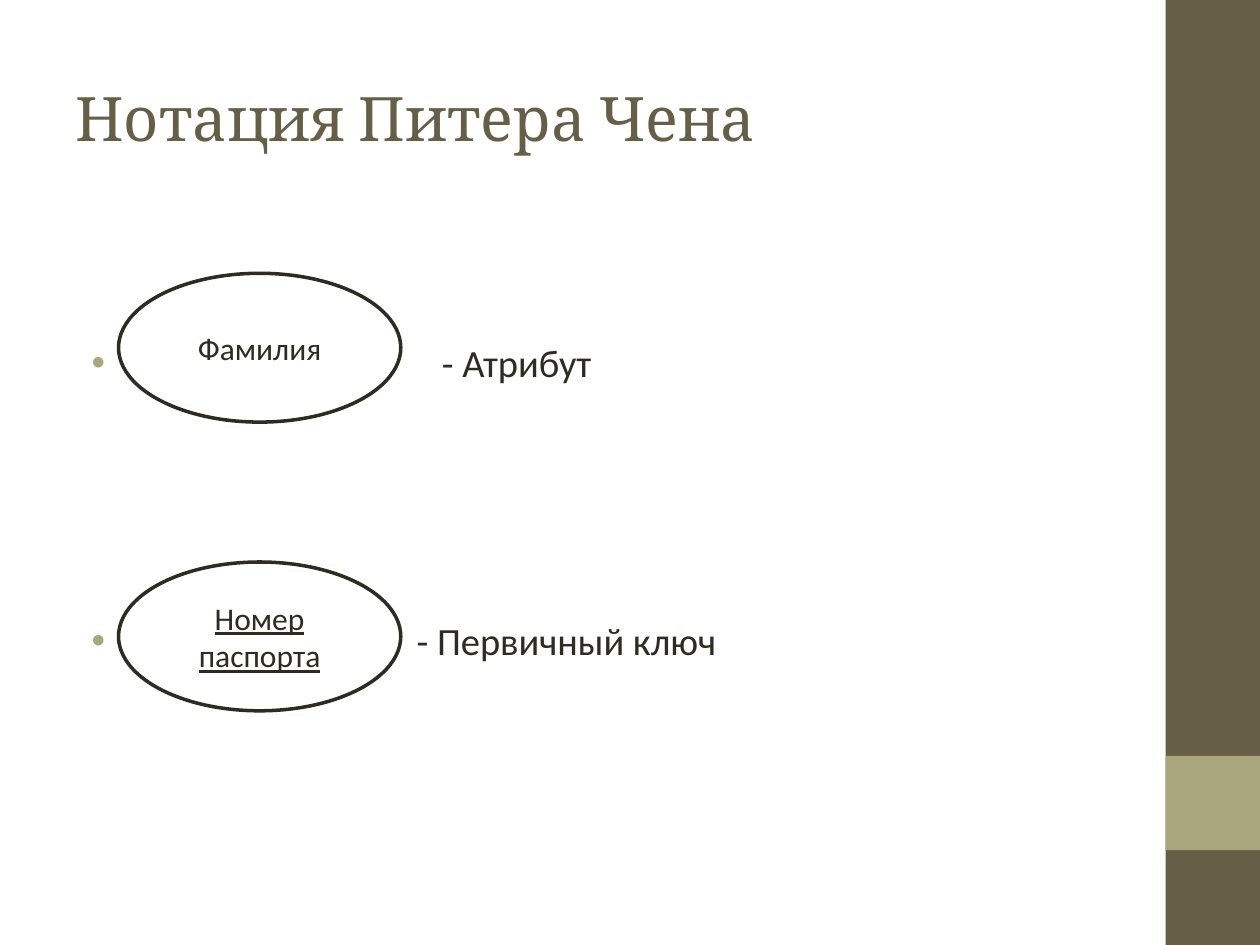
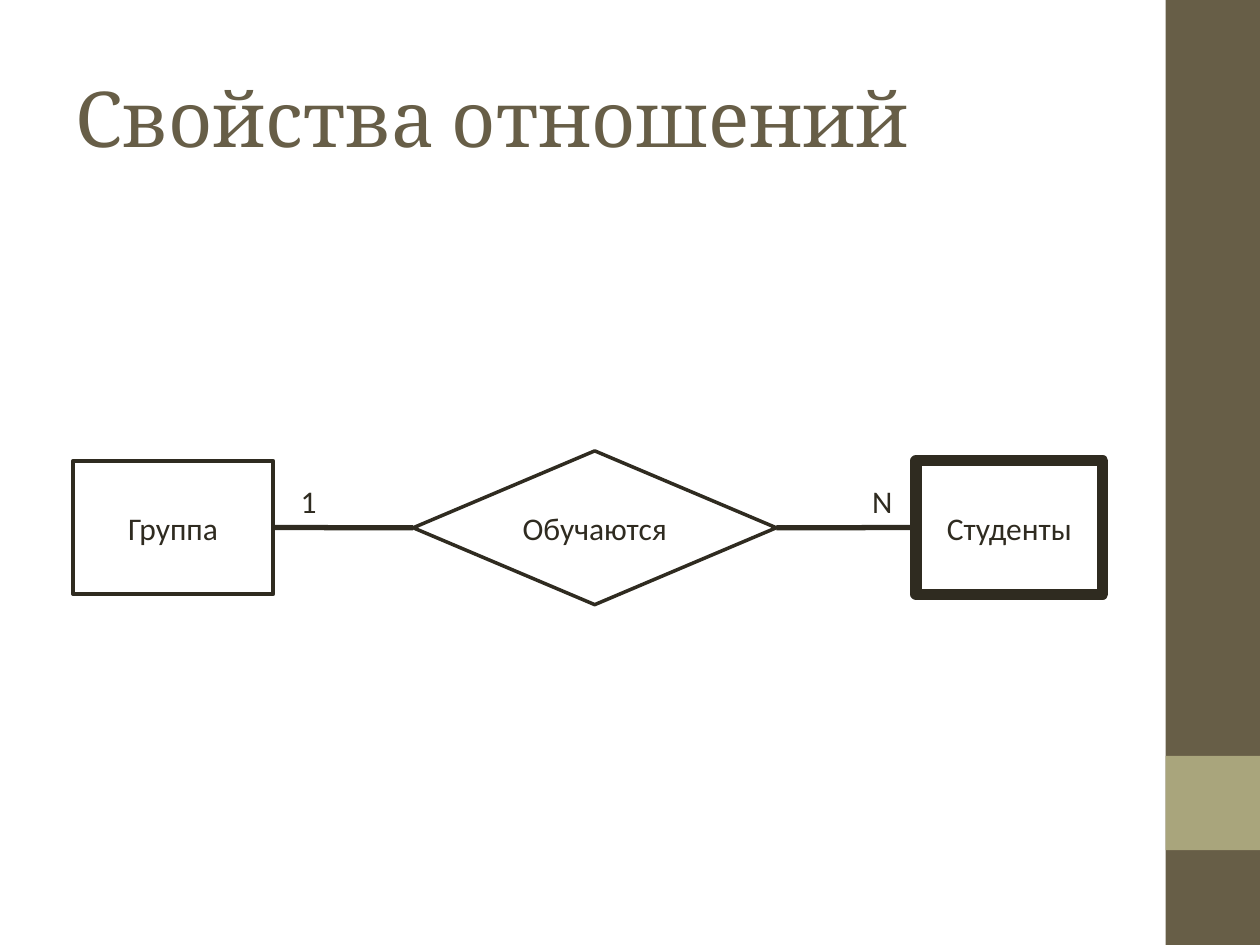
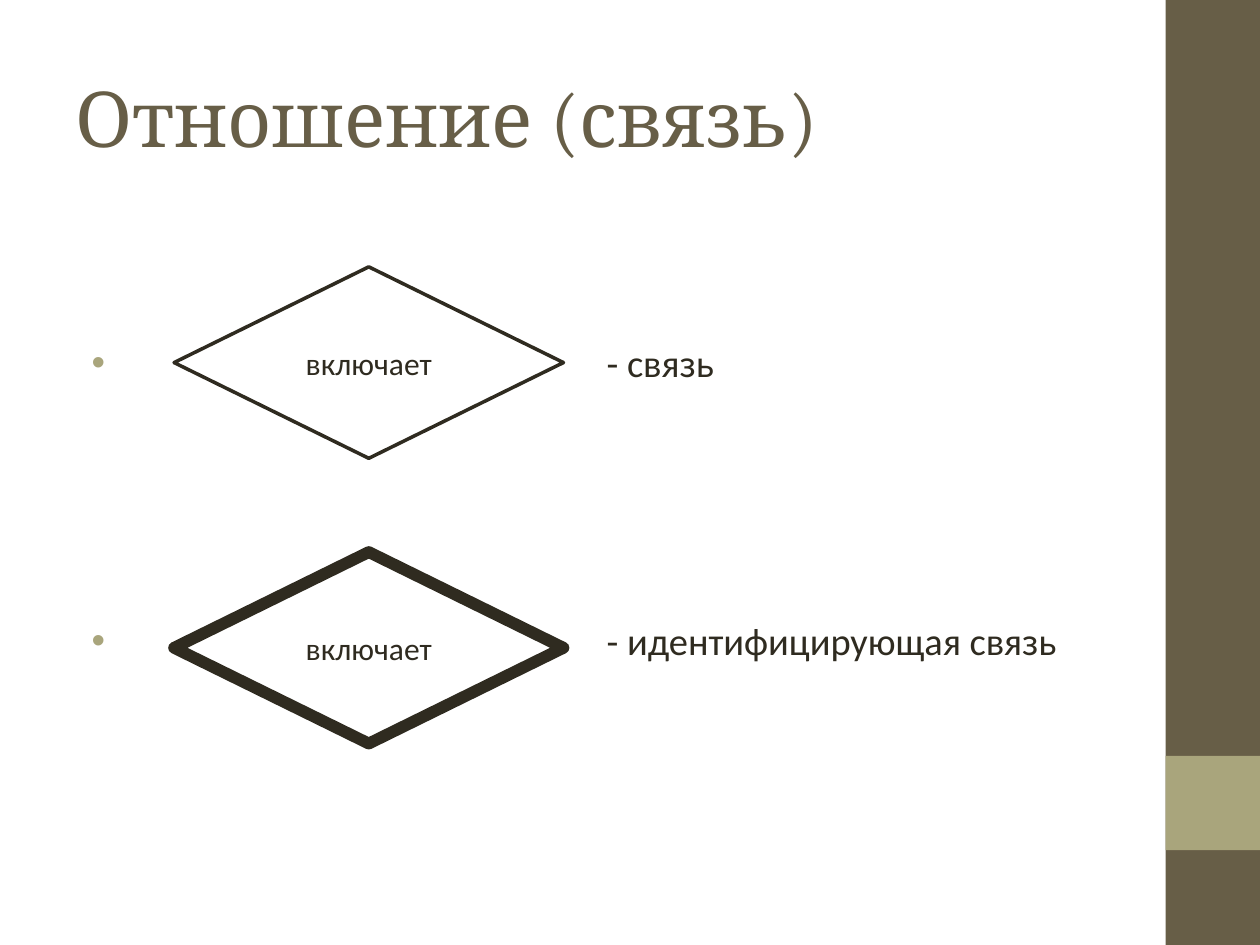
from lxml import etree
from pptx import Presentation
from pptx import util as u
from pptx.dml import color
from pptx.enum import shapes, text
from pptx.oxml import ns

DARK, ACCENT, INK, PAPER = "675E47", "A9A57C", "2F2B20", "FFFFFF"
HEADING_FONT, BODY_FONT = "Cambria", "Calibri"
PAGE = (0, 0, 25.4, 19.05)
TITLE_BOX = (1.27, 0.76, 21.16, 3.18)
BODY_BOX = (1.27, 4.45, 21.16, 13.33)
DIAGRAM_BOX = (1.47, 9.09, 20.76, 3.1)
BULLET_LEFT = 0.33
INSET = 0.25
KINDS = shapes.MSO_SHAPE


def rgb(value):
    """Turn a hex string into a colour."""
    return color.RGBColor.from_string(value)


def set_all(target, values):
    """Set each named attribute of the target."""
    for name, value in values.items():
        setattr(target, name, value)


def lengths(box):
    """Turn a box in centimetres into lengths."""
    return [u.Cm(round(value, 2)) for value in box]


def write(paragraph, words, size, ink=INK, font=BODY_FONT, underline=None):
    """Put one formatted run into a paragraph."""
    run = paragraph.add_run()
    run.text = words
    set_all(run.font, {"size": u.Pt(size), "name": font, "underline": underline})
    run.font.color.rgb = rgb(ink)


def add_textbox(slide, box, **frame_values):
    """Add a text box and return its frame."""
    frame = slide.shapes.add_textbox(*lengths(box)).text_frame
    set_all(frame, {"word_wrap": True, **frame_values})
    return frame


def add_block(slide, kind, box, fill, line_width=None):
    """Add a filled preset shape, outlined if a line width is given."""
    shape = slide.shapes.add_shape(kind, *lengths(box))
    shape.shadow.inherit = False
    shape.fill.solid()
    shape.fill.fore_color.rgb = rgb(fill)
    if line_width:
        shape.line.color.rgb = rgb(INK)
        shape.line.width = u.Pt(line_width)
    else:
        shape.line.fill.background()
    return shape


def add_symbol(slide, kind, box, words, line_width=2, underline=None):
    """Add an outlined notation symbol with a centred caption."""
    shape = add_block(slide, kind, box, PAPER, line_width)
    set_all(shape.text_frame, {"word_wrap": True, "vertical_anchor": text.MSO_ANCHOR.MIDDLE})
    paragraph = shape.text_frame.paragraphs[0]
    paragraph.alignment = text.PP_ALIGN.CENTER
    write(paragraph, words, 18, underline=underline)
    return shape


def add_link(slide, start, end):
    """Join the right side of one symbol to the left side of the next."""
    connector = slide.shapes.add_connector(shapes.MSO_CONNECTOR.STRAIGHT, 0, 0, 0, 0)
    connector.begin_connect(start, 3)
    connector.end_connect(end, 1)
    connector.line.color.rgb = rgb(INK)
    connector.line.width = u.Pt(3)
    etree.SubElement(connector._element.spPr, ns.qn("a:effectLst"))


def add_bullet(paragraph, text_left):
    """Give a paragraph an accent bullet and a hanging indent."""
    properties = paragraph._p.get_or_add_pPr()
    properties.set("marL", str(u.Cm(text_left)))
    properties.set("indent", str(u.Cm(round(BULLET_LEFT - text_left, 2))))
    bullet_color = etree.SubElement(properties, ns.qn("a:buClr"))
    etree.SubElement(bullet_color, ns.qn("a:srgbClr"), val=ACCENT)
    etree.SubElement(properties, ns.qn("a:buFont"), typeface="Arial")
    etree.SubElement(properties, ns.qn("a:buChar"), char="•")


def add_side_band(slide, box):
    """Draw the band along the right edge of the page."""
    left, top, width, height = box
    band = 1.9
    band_left = left + width - band
    add_block(slide, KINDS.RECTANGLE, (band_left, top, band, height), DARK)
    add_block(slide, KINDS.RECTANGLE, (band_left, top + 0.8 * height, band, band), ACCENT)


def add_title(slide, box, words, size):
    """Write the slide title."""
    frame = add_textbox(slide, box, vertical_anchor=text.MSO_ANCHOR.MIDDLE)
    write(frame.paragraphs[0], words, size, DARK, HEADING_FONT)


def add_legend(slide, box, kind, symbol_size, entries):
    """List notation symbols, each followed by its meaning."""
    left, top, _, _ = box
    frame = add_textbox(slide, box, margin_top=u.Cm(2.38))
    for index, entry in enumerate(entries):
        paragraph = frame.add_paragraph() if index else frame.paragraphs[0]
        paragraph.space_before = u.Pt(132.5 if index else 0)
        add_bullet(paragraph, entry["text_left"])
        write(paragraph, entry["meaning"], 22)
        x, y = entry["offset"]
        add_symbol(slide, kind, (left + x, top + y, *symbol_size),
                   entry["caption"], **entry.get("style", {}))


def add_relation_diagram(slide, box):
    """Draw two entities joined by a one-to-many relation."""
    left, top, width, height = box
    entity_height, group_width, students_width = 2.69, 4.04, 3.76
    relation_left, relation_width = left + 6.86, 7.32
    entity_top = top + (height - entity_height) / 2
    students_left = left + width - students_width
    group = add_symbol(slide, KINDS.RECTANGLE,
                       (left, entity_top, group_width, entity_height), "Группа")
    students = add_symbol(slide, KINDS.RECTANGLE,
                          (students_left, entity_top, students_width, entity_height),
                          "Студенты", 6.5)
    relation = add_symbol(slide, KINDS.DIAMOND,
                          (relation_left, top, relation_width, height), "Обучаются")
    add_link(slide, group, relation)
    add_link(slide, relation, students)
    for label, label_left in (("1", left + group_width + 0.3), ("N", students_left - 1.14)):
        frame = add_textbox(slide, (label_left, top + 0.51, 0.9, 1.02), word_wrap=False)
        write(frame.paragraphs[0], label, 18)


def add_page(presentation, title, title_size):
    """Add a slide with the shared band and title."""
    slide = presentation.slides.add_slide(presentation.slide_layouts[6])
    add_side_band(slide, PAGE)
    add_title(slide, TITLE_BOX, title, title_size)
    return slide


def main():
    """Build the three slides and save them."""
    presentation = Presentation()
    set_all(presentation, {"slide_width": u.Cm(PAGE[2]), "slide_height": u.Cm(PAGE[3])})

    slide = add_page(presentation, "Нотация Питера Чена", 35)
    add_legend(slide, BODY_BOX, KINDS.OVAL, (5.69, 3), [
        {"caption": "Фамилия", "meaning": "- Атрибут",
         "offset": (1.12, 1.06), "text_left": 7.39},
        {"caption": "Номер паспорта", "meaning": "- Первичный ключ",
         "offset": (1.12, 6.88), "text_left": 6.88, "style": {"underline": True}},
    ])

    slide = add_page(presentation, "Свойства отношений", 44)
    add_relation_diagram(slide, DIAGRAM_BOX)

    slide = add_page(presentation, "Отношение (связь)", 44)
    add_legend(slide, BODY_BOX, KINDS.DIAMOND, (7.85, 3.86), [
        {"caption": "включает", "meaning": "- связь",
         "offset": (2.24, 0.93), "text_left": 10.71},
        {"caption": "включает", "meaning": "- идентифицирующая связь",
         "offset": (2.24, 6.68), "text_left": 10.71, "style": {"line_width": 6.75}},
    ])

    presentation.save("out.pptx")


if __name__ == "__main__":
    main()
